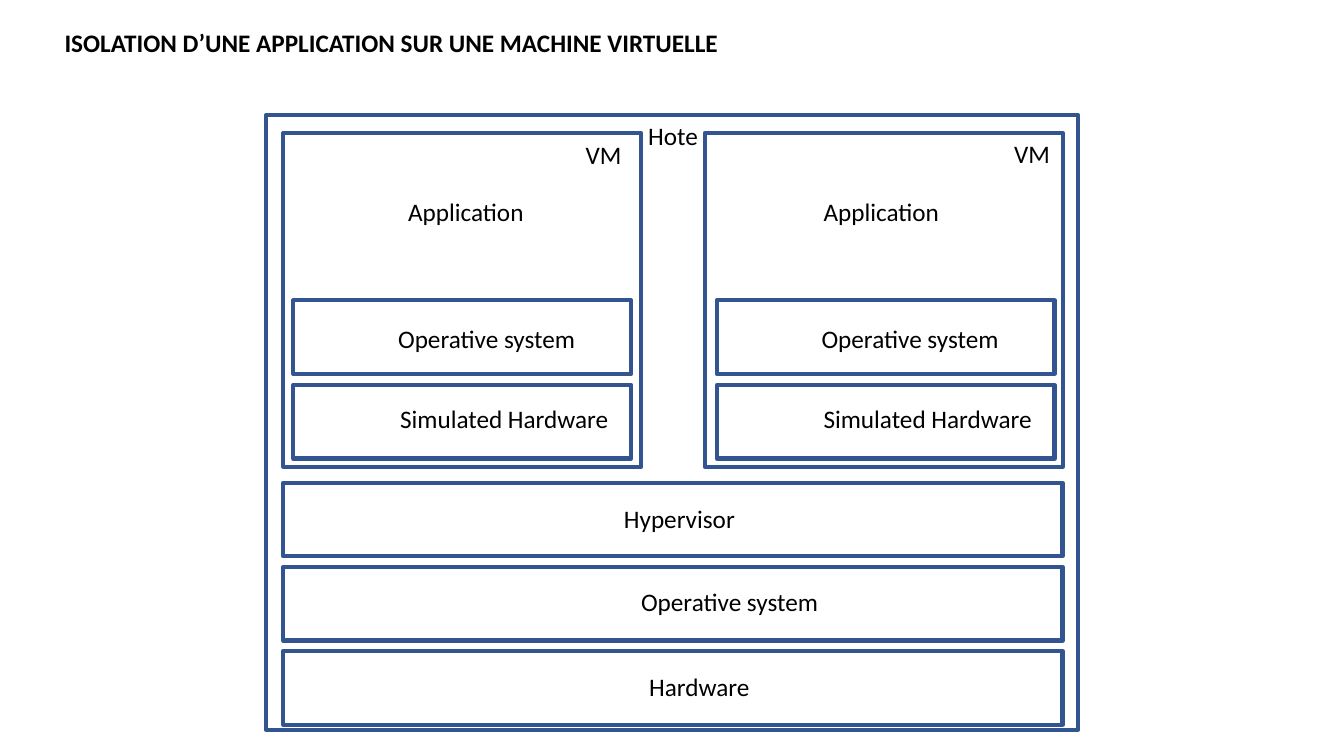
from pptx import Presentation
from pptx import util as u
from pptx.dml.color import RGBColor
from pptx.enum import shapes, text

BLUE = RGBColor(0x32, 0x54, 0x91)
BLACK = RGBColor(0, 0, 0)
FONT = "Calibri"
CELL = u.Inches(0.1)
BAR_H = 7.3
LABEL_H = 4


def grid(*cells):
    return [round(c * CELL) for c in cells]


def style(p, bold=False):
    for r in p.runs:
        r.font.name = FONT
        r.font.size = u.Pt(18)
        r.font.bold = bold
        r.font.color.rgb = BLACK


def add_title(s, x, y, w, h, words):
    sp = s.shapes.title
    sp.left, sp.top, sp.width, sp.height = grid(x, y, w, h)
    tf = sp.text_frame
    tf.text = words
    tf.auto_size = text.MSO_AUTO_SIZE.NONE
    tf.vertical_anchor = text.MSO_ANCHOR.BOTTOM
    tf.margin_bottom = 0
    p = tf.paragraphs[0]
    p.alignment = text.PP_ALIGN.LEFT
    style(p, bold=True)


def add_frame(parent, x, y, w, h):
    sp = parent.shapes.add_shape(shapes.MSO_SHAPE.RECTANGLE, *grid(x, y, w, h))
    sp.shadow.inherit = False
    sp.fill.background()
    sp.line.color.rgb = BLUE
    sp.line.width = u.Pt(3)


def add_label(parent, x, y, w, words, h=LABEL_H):
    tf = parent.shapes.add_textbox(*grid(x, y, w, h)).text_frame
    tf.word_wrap = True
    tf.auto_size = text.MSO_AUTO_SIZE.SHAPE_TO_FIT_TEXT
    tf.text = words
    style(tf.paragraphs[0])


def add_layer(s, x, y, w, words, dx, dy, label_w):
    group = s.shapes.add_group_shape()
    add_frame(group, x, y, w, BAR_H)
    add_label(group, x + dx, y + dy, label_w, words)


def add_vm(s, x, y, w, h, inset, app_dx, tag_dx, tag_dy):
    group = s.shapes.add_group_shape()
    bar_x, bar_w = x + inset, w - 2
    add_frame(group, x, y, w, h)
    add_label(group, x + tag_dx, y + tag_dy, 8.1, "VM")
    add_label(group, x + app_dx, y + 5.8, 14.4, "Application")
    add_frame(group, bar_x, y + 16.6, bar_w, BAR_H)
    add_label(group, bar_x + 9.4, y + 18.4, 21.2, "Operative system")
    add_frame(group, bar_x, y + 25, bar_w, BAR_H)
    add_label(group, bar_x + 9.6, y + 26.3, 25, "Simulated Hardware", 7.1)


def add_host(s, x, y, w, h):
    add_frame(s, x, y, w, h)
    add_label(s, x + 36.9, y, 8.1, "Hote")
    layers = [
        ("Hypervisor", 32.8, 1.5, 16.6),
        ("Operative system", 34.5, 1.4, 21.2),
        ("Hardware", 35.3, 1.5, 16.8),
    ]
    for i, (words, dx, dy, label_w) in enumerate(layers):
        add_layer(s, x + 1.7, y + 36.5 + 8.35 * i, 77.3, words, dx, dy, label_w)
    add_vm(s, x + 1.7, y + 1.8, 35.5, 33.1, 1, 11.4, 29, 0.1)
    add_vm(s, x + 43.5, y + 1.8, 35.5, 33.1, 1.2, 10.8, 29.7, 0)


def main():
    prs = Presentation()
    prs.slide_width, prs.slide_height = u.Inches(13.33), u.Inches(7.5)
    s = prs.slides.add_slide(prs.slide_layouts[5])
    add_title(s, 5.4, 1.1, 119.6, 4.6,
              "ISOLATION D’UNE APPLICATION SUR UNE MACHINE VIRTUELLE")
    add_host(s, 26.4, 11.4, 80.5, 61)
    prs.save("out.pptx")


if __name__ == "__main__":
    main()
